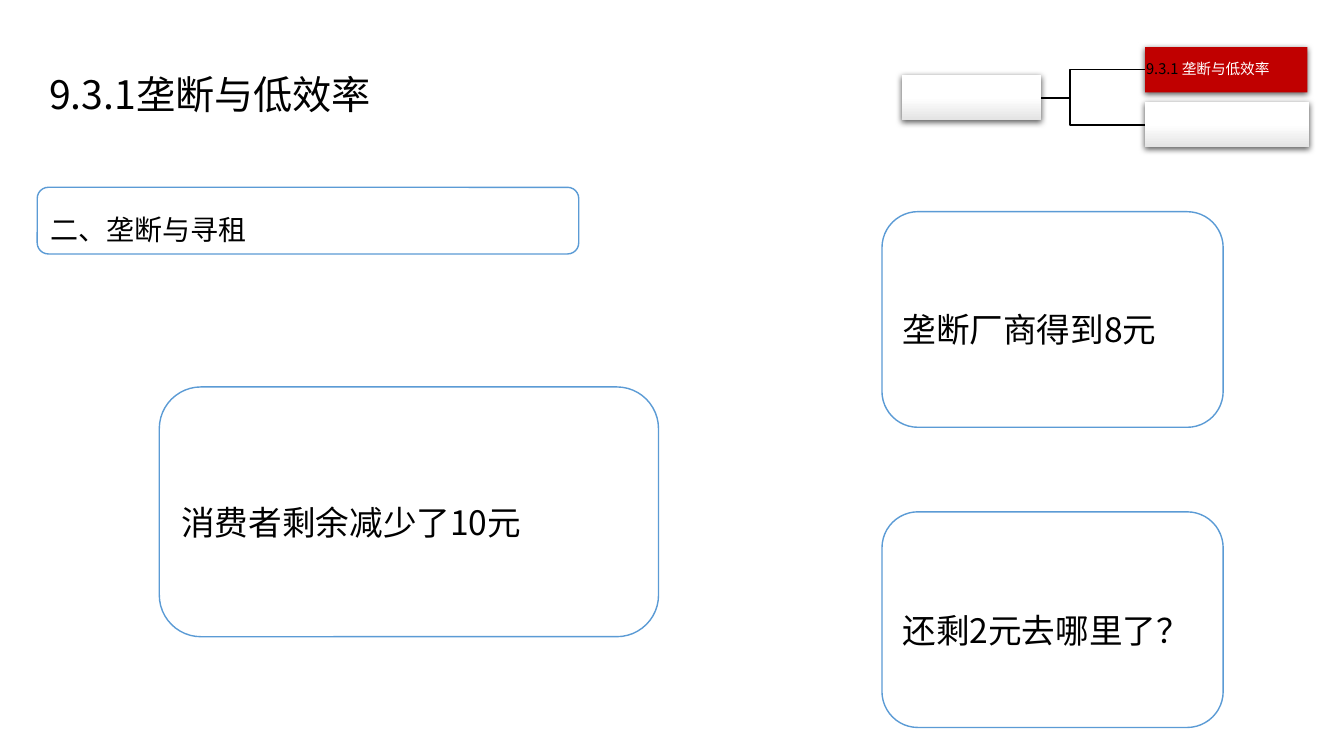
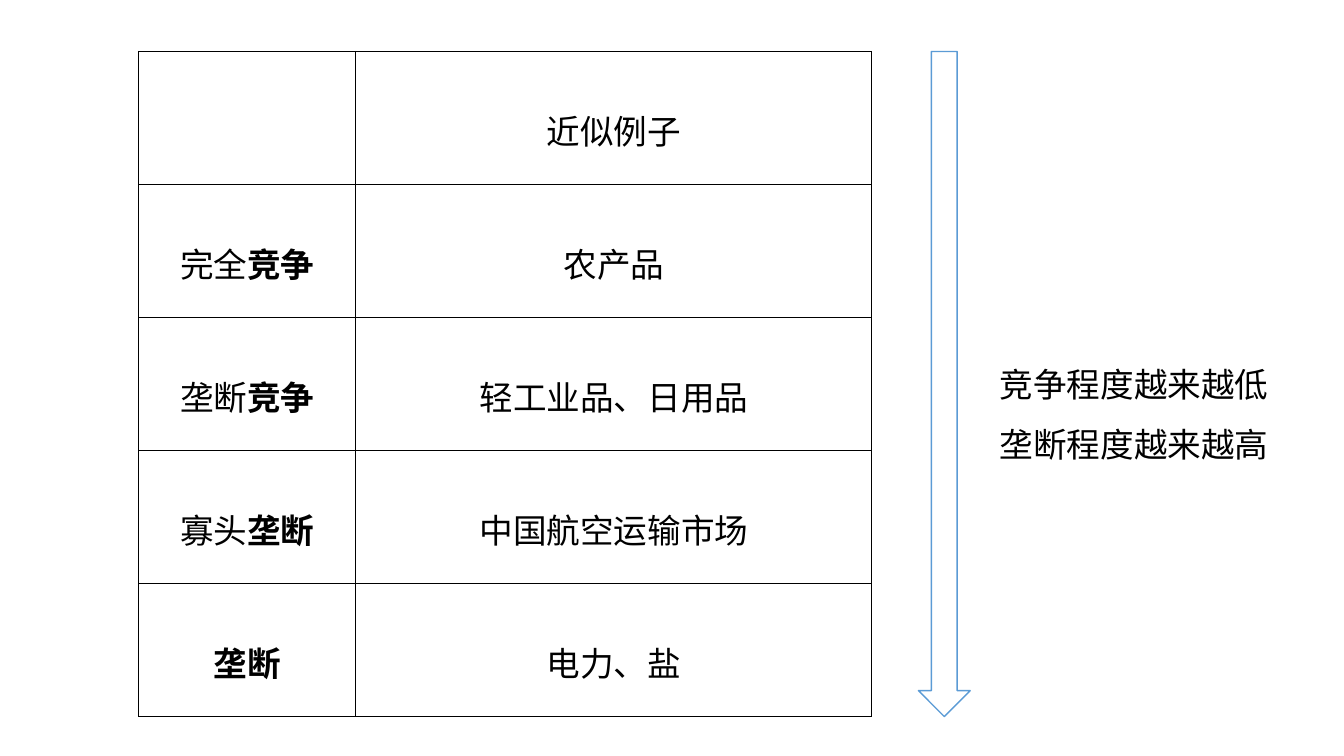
from lxml import etree
from pptx import Presentation
from pptx.dml.color import RGBColor
from pptx.enum.shapes import MSO_CONNECTOR, MSO_SHAPE
from pptx.enum.text import MSO_ANCHOR, MSO_AUTO_SIZE, PP_ALIGN
from pptx.oxml import parse_xml
from pptx.oxml.ns import nsdecls, qn
from pptx.util import Pt

BLACK = RGBColor(0, 0, 0)
WHITE = RGBColor(255, 255, 255)
GREY = RGBColor(0xE3, 0xE3, 0xE3)
BLUE = RGBColor(0x5B, 0x9B, 0xD5)
RED = RGBColor(0xC0, 0, 0)
FONT = "Noto Sans CJK SC"
RECT, ROUND, ARROW = MSO_SHAPE.RECTANGLE, MSO_SHAPE.ROUNDED_RECTANGLE, MSO_SHAPE.DOWN_ARROW
ELBOW = MSO_CONNECTOR.ELBOW
MIDDLE = MSO_ANCHOR.MIDDLE
LEFT, CENTER = PP_ALIGN.LEFT, PP_ALIGN.CENTER
FIXED = MSO_AUTO_SIZE.NONE


def write(para, text, size=24, color=BLACK, bold=False, space=1.5, align=LEFT):
    para.alignment, para.line_spacing = align, space
    run = para.add_run()
    run.text = text
    run.font.size, run.font.bold, run.font.name = Pt(size), bold, FONT
    run.font.color.rgb = color
    etree.SubElement(run._r.get_or_add_rPr(), qn("a:ea"), typeface=FONT)


def draw(slide, kind, box, line=BLUE):
    shape = slide.shapes.add_shape(kind, *map(Pt, box))
    shape.shadow.inherit = False
    shape.fill.solid()
    shape.fill.fore_color.rgb = WHITE
    if line is None:
        shape.line.fill.background()
    else:
        shape.line.color.rgb, shape.line.width = line, Pt(1)
    shape.text_frame.vertical_anchor = MIDDLE
    return shape


deck = Presentation()
deck.slide_width, deck.slide_height = Pt(960), Pt(540)

# Slide 1: title
slide = deck.slides.add_slide(deck.slide_layouts[5])
title = slide.shapes.title
title.left, title.top, title.width, title.height = Pt(26.6), Pt(46), Pt(695), Pt(42.5)
frame = title.text_frame
frame.auto_size, frame.vertical_anchor = FIXED, MIDDLE
frame.margin_left = frame.margin_right = Pt(8.6)
frame.margin_top = frame.margin_bottom = Pt(4.3)
write(frame.paragraphs[0], "9.3.1垄断与低效率", size=28, space=1)

# Section map: branches, then nodes
for end in (89.3, 49.7):
    link = slide.shapes.add_connector(ELBOW, Pt(710.5), Pt(70), Pt(818), Pt(end))
    link.line.color.rgb, link.line.width = BLACK, Pt(1)
    etree.SubElement(link._element.spPr, qn("a:effectLst"))

nodes = [(644.4, 53.7, 99.4, False), (818, 33.6, 116, True), (818, 72.9, 117, False)]
for left, top, width, active in nodes:
    node = draw(slide, RECT, (left, top, width, 32.4), line=None)
    glow = node._element.spPr.find(qn("a:effectLst"))
    glow.append(parse_xml(
        f'<a:outerShdw {nsdecls("a")} blurRad="57150" dist="19050" dir="5400000" '
        'algn="ctr" rotWithShape="0"><a:srgbClr val="000000">'
        '<a:alpha val="63000"/></a:srgbClr></a:outerShdw>'))
    if active:
        node.fill.fore_color.rgb = RED
        frame = node.text_frame
        frame.margin_left = frame.margin_right = Pt(0.7)
        frame.margin_top = frame.margin_bottom = Pt(0.7)
        for text, color in (("9.3.1 ", BLACK), ("垄断与低效率", WHITE)):
            write(frame.paragraphs[0], text, size=10.5, color=color, space=0.9)
    else:
        node.fill.gradient()
        node.fill.gradient_angle = 270
        for stop, place, color in zip(node.fill.gradient_stops, (0.5, 1), (WHITE, GREY)):
            stop.position, stop.color.rgb = place, color

# Statement boxes
boxes = [
    ("二、垄断与寻租", 20, (26.6, 133.8, 386.8, 47.6)),
    ("消费者剩余减少了10元", 24, (113.8, 276.4, 356.6, 178.4)),
    ("垄断厂商得到8元", 24, (630, 151.2, 243.7, 154)),
    ("还剩2元去哪里了？", 24, (630, 365.6, 243.7, 154)),
]
for text, size, box in boxes:
    write(draw(slide, ROUND, box).text_frame.paragraphs[0], text, size=size)

# Slide 2: table of markets, as (plain part, bold part, example)
slide = deck.slides.add_slide(deck.slide_layouts[6])
rows = [
    ("", "", "近似例子"),
    ("完全", "竞争", "农产品"),
    ("垄断", "竞争", "轻工业品、日用品"),
    ("寡头", "垄断", "中国航空运输市场"),
    ("", "垄断", "电力、盐"),
]
TOP, TALL = 36.8, 475
table = slide.shapes.add_table(len(rows), 2, Pt(99.2), Pt(TOP), Pt(523.5), Pt(TALL)).table
table.first_row = table.horz_banding = False
table.columns[0].width, table.columns[1].width = Pt(155), Pt(368.5)
for row, (plain, strong, case) in enumerate(rows):
    for col, parts in enumerate([((plain, False), (strong, True)), ((case, False),)]):
        cell = table.cell(row, col)
        cell.vertical_anchor = MIDDLE
        for side in ("lnL", "lnR", "lnT", "lnB"):
            cell._tc.get_or_add_tcPr().append(parse_xml(
                f'<a:{side} {nsdecls("a")} w="12700"><a:solidFill>'
                f'<a:srgbClr val="{BLACK}"/></a:solidFill></a:{side}>'))
        cell.fill.solid()
        cell.fill.fore_color.rgb = WHITE
        for text, bold in parts:
            if text:
                write(cell.text_frame.paragraphs[0], text, bold=bold, align=CENTER)

# Trend arrow and its label
draw(slide, ARROW, (656, TOP, 37, TALL))
label = slide.shapes.add_textbox(Pt(707), Pt(242), Pt(208), Pt(89.3))
frame = label.text_frame
frame.word_wrap = False
write(frame.paragraphs[0], "竞争程度越来越低")
write(frame.add_paragraph(), "垄断程度越来越高")

deck.save("out.pptx")
